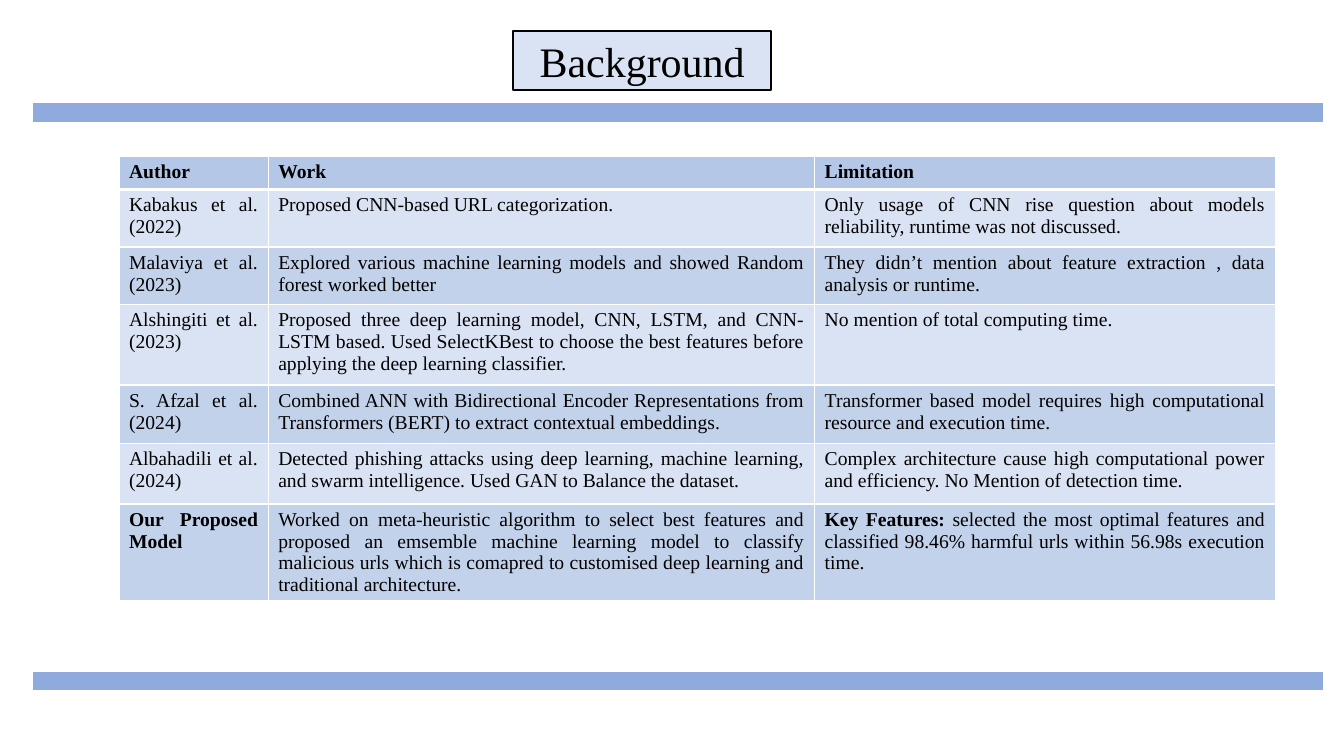
from lxml import etree
from pptx import Presentation
from pptx.dml.color import RGBColor
from pptx.enum.shapes import MSO_SHAPE
from pptx.enum.text import MSO_ANCHOR, MSO_AUTO_SIZE, PP_ALIGN
from pptx.oxml.ns import qn
from pptx.util import Inches, Pt

FONT = "Times New Roman"
BLACK = RGBColor(0x00, 0x00, 0x00)
WHITE = RGBColor(0xFF, 0xFF, 0xFF)
PALE = RGBColor(0xDA, 0xE3, 0xF3)
BLUE = RGBColor(0xB4, 0xC7, 0xE7)
BAR = RGBColor(0x8F, 0xAA, 0xDC)

TITLE = "Background"
HEADER = ("Author", "Work", "Limitation")
STUDIES = [
    ("Kabakus et al. (2022)",
     "Proposed CNN-based URL categorization. ",
     "Only usage of CNN rise question about models reliability, runtime was not discussed."),
    ("Malaviya et al. (2023)",
     "Explored various machine learning models and showed Random forest worked better",
     "They didn’t mention about feature extraction , data analysis or runtime."),
    ("Alshingiti et al. (2023)",
     "Proposed three deep learning model, CNN, LSTM, and CNN-LSTM based. Used SelectKBest "
     "to choose the best features before applying the deep learning classifier.",
     "No mention of total computing time."),
    ("S. Afzal et al.(2024)",
     "Combined ANN with Bidirectional Encoder Representations from Transformers (BERT) "
     "to extract contextual embeddings.",
     "Transformer based model requires high computational resource and execution time."),
    ("Albahadili et al.(2024)",
     "Detected phishing attacks using deep learning, machine learning, and swarm "
     "intelligence. Used GAN to Balance the dataset.",
     "Complex architecture cause high computational power and efficiency. "
     "No Mention of detection time."),
    ("**Our Proposed Model",
     "Worked on meta-heuristic algorithm to select best features and proposed an emsemble "
     "machine learning model to classify malicious urls which is comapred to customised "
     "deep learning and traditional architecture.",
     "**Key Features: **selected the most optimal features and classified 98.46% harmful "
     "urls within 56.98s execution time. "),
]
COLS = (1.48, 5.42, 4.57)
ROWS = (0.33, 0.57, 0.57, 0.8, 0.58, 0.6, 0.89)
TABLE_AT = (1.18, 1.55)
TITLE_BOX = (5.09, 0.31, 2.56, 0.58)
BAR_LEFT, BAR_W, BAR_H = 0.32, 12.81, 0.19
BAR_TOPS = (1.02, 6.66)


def style_run(r, size, bold=False):
    r.font.name = FONT
    r.font.size = Pt(size)
    r.font.bold = bold
    r.font.color.rgb = BLACK


def paint(s, fill, line, width):
    s.fill.solid()
    s.fill.fore_color.rgb = fill
    s.line.color.rgb = line
    s.line.width = Pt(width)


def border_cell(cell, bottom):
    tcPr = cell._tc.get_or_add_tcPr()
    for i, (tag, width) in enumerate((("lnL", 1), ("lnR", 1), ("lnT", 1), ("lnB", bottom))):
        ln = etree.Element(qn(f"a:{tag}"), w=str(Pt(width)))
        fill = etree.SubElement(ln, qn("a:solidFill"))
        etree.SubElement(fill, qn("a:srgbClr"), val=str(WHITE))
        tcPr.insert(i, ln)


def fill_cell(cell, color, opacity):
    cell.fill.solid()
    cell.fill.fore_color.rgb = color
    if opacity < 100:
        clr = cell._tc.tcPr.find(qn("a:solidFill"))[0]
        etree.SubElement(clr, qn("a:alpha"), val=str(opacity * 1000))


def write_cell(cell, text, header):
    p = cell.text_frame.paragraphs[0]
    p.alignment = PP_ALIGN.JUSTIFY
    for i, part in enumerate(text.split("**")):
        if part:
            r = p.add_run()
            r.text = part
            style_run(r, 14, header or i % 2 == 1)


def add_title(slide):
    s = slide.shapes.title
    s.left, s.top, s.width, s.height = map(Inches, TITLE_BOX)
    paint(s, PALE, BLACK, 1.5)
    tf = s.text_frame
    tf.text = TITLE
    tf.auto_size = MSO_AUTO_SIZE.NONE
    tf.vertical_anchor = MSO_ANCHOR.MIDDLE
    p = tf.paragraphs[0]
    p.alignment = PP_ALIGN.CENTER
    p.line_spacing = 1.0
    style_run(p.runs[0], 30)


def add_studies(slide):
    box = (*TABLE_AT, sum(COLS), sum(ROWS))
    table = slide.shapes.add_table(len(ROWS), len(COLS), *map(Inches, box)).table
    for col, width in zip(table.columns, COLS):
        col.width = Inches(width)
    for i, texts in enumerate([HEADER] + STUDIES):
        table.rows[i].height = Inches(ROWS[i])
        header = i == 0
        color = PALE if i % 2 else BLUE
        opacity = 100 if header or i % 2 else 80
        for cell, text in zip(table.rows[i].cells, texts):
            write_cell(cell, text, header)
            fill_cell(cell, color, opacity)
            border_cell(cell, 3 if header else 1)


def add_bars(slide):
    for top in BAR_TOPS:
        box = (BAR_LEFT, top, BAR_W, BAR_H)
        s = slide.shapes.add_shape(MSO_SHAPE.RECTANGLE, *map(Inches, box))
        s.shadow.inherit = False
        paint(s, BAR, WHITE, 0.5)


def main():
    prs = Presentation()
    prs.slide_width, prs.slide_height = Inches(13.33), Inches(7.5)
    slide = prs.slides.add_slide(prs.slide_layouts.get_by_name("Title Only"))
    add_title(slide)
    add_studies(slide)
    add_bars(slide)
    prs.save("out.pptx")


if __name__ == "__main__":
    main()
